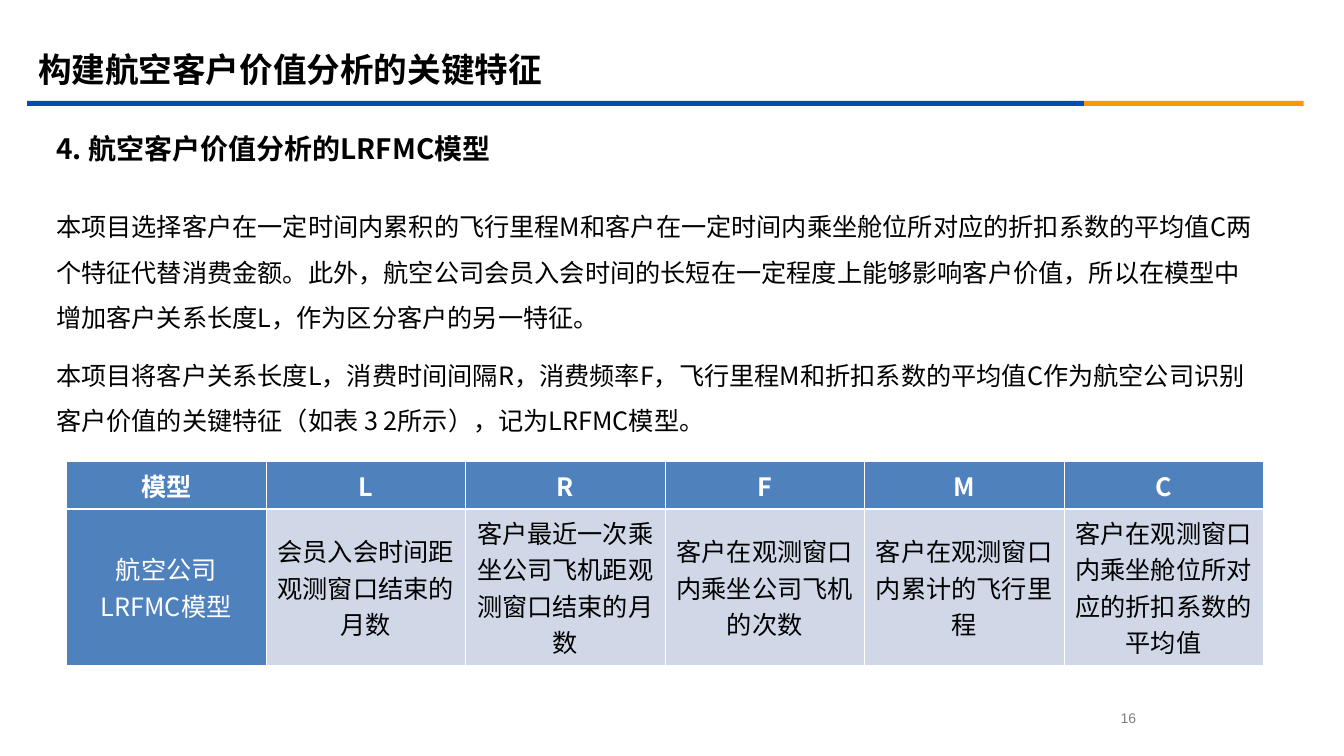
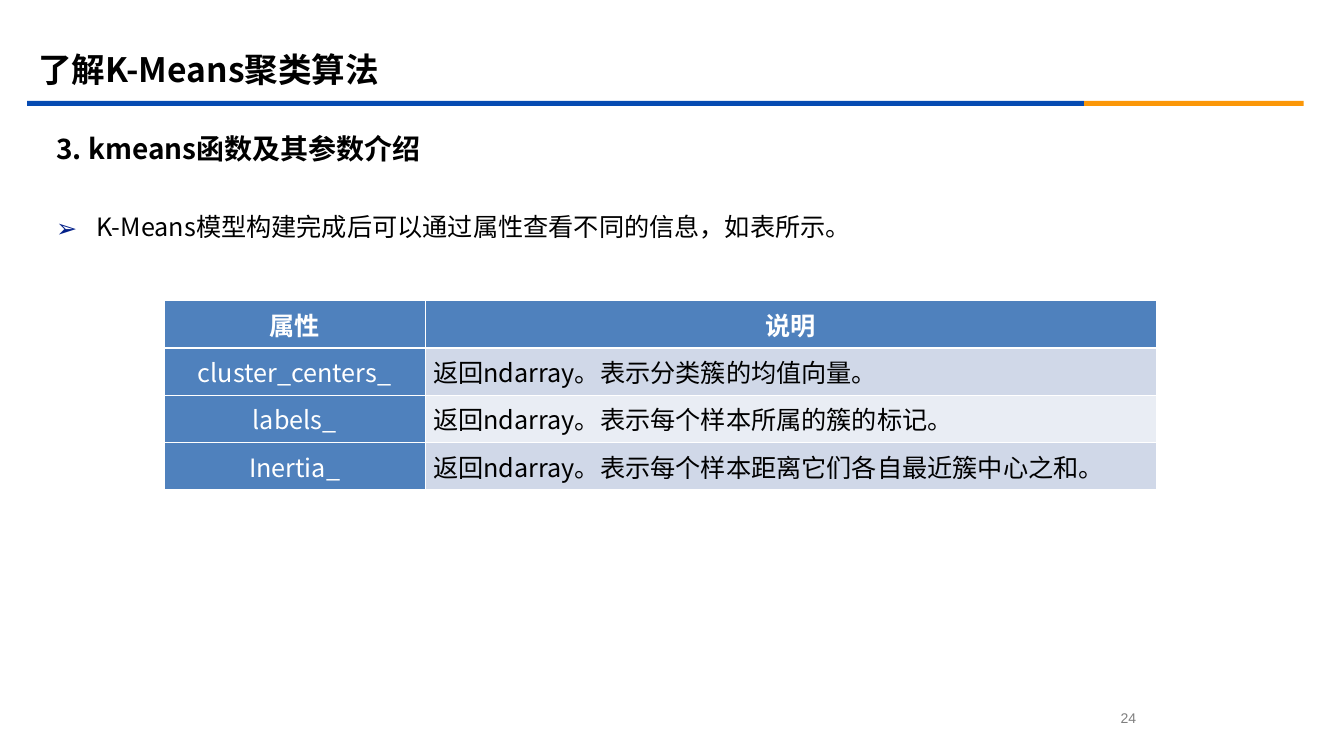
from lxml import etree
from pptx import Presentation
from pptx.dml.color import RGBColor
from pptx.enum.shapes import MSO_SHAPE
from pptx.enum.text import MSO_ANCHOR, PP_ALIGN
from pptx.oxml.ns import qn
from pptx.util import Inches, Pt

RECTANGLE = MSO_SHAPE.RECTANGLE
TOP, MIDDLE = MSO_ANCHOR.TOP, MSO_ANCHOR.MIDDLE
LEFT, CENTER, JUSTIFY = PP_ALIGN.LEFT, PP_ALIGN.CENTER, PP_ALIGN.JUSTIFY

FONT, NUMBER_FONT = "Noto Sans CJK SC", "Arial"
BLACK, WHITE, GRAY = "000000", "FFFFFF", "7F7F7F"
BLUE, ORANGE, BULLET_COLOR = "064BB2", "FB9708", "032089"
HEADER_FILL, BAND_FILLS = "4F81BD", ("D0D8E8", "E9EDF4")
THIN, THICK = 0.45, 1.47

TITLE_BOX = (0.28, 0.39, 12, 0.58)
HEADING_BOX = (0.46, 1.24, 12.15, 0.47)
BODY_BOX = (0.46, 1.9, 12.15, 4.78)
NUMBER_BOX = (10.89, 6.99, 0.62, 0.25)
RULE_BOX = (0.27, 1, 12.67, 0.05)
RULE_BLUE_WIDTH = 10.49


def rgb(color):
    return RGBColor.from_string(color)


def add_bullet(paragraph, character, indent):
    properties = paragraph._p.get_or_add_pPr()
    properties.set("marL", str(Inches(indent)))
    properties.set("indent", str(-Inches(indent)))
    bullet_color = etree.SubElement(properties, qn("a:buClr"))
    etree.SubElement(bullet_color, qn("a:srgbClr"), val=BULLET_COLOR)
    etree.SubElement(properties, qn("a:buFont"), typeface=FONT)
    etree.SubElement(properties, qn("a:buChar"), char=character)


def write_text(frame, lines, size=18, color=BLACK, bold=False, font=FONT,
               align=LEFT, line_spacing=None, space_before=0, bullet=None):
    """Write one paragraph for each line into a text frame."""
    frame.word_wrap = True
    for index, line in enumerate(lines):
        paragraph = frame.add_paragraph() if index else frame.paragraphs[0]
        paragraph.alignment = align
        if line_spacing:
            paragraph.line_spacing = line_spacing
        if index and space_before:
            paragraph.space_before = Pt(space_before)
        if bullet:
            add_bullet(paragraph, bullet, 0.4)
        run = paragraph.add_run()
        run.text = line
        run.font.size = Pt(size)
        run.font.bold = bold
        run.font.color.rgb = rgb(color)
        run.font.name = font
        etree.SubElement(run._r.get_or_add_rPr(), qn("a:ea"), typeface=font)


def add_text(slide, box, lines, anchor=TOP, **text_format):
    frame = slide.shapes.add_textbox(*map(Inches, box)).text_frame
    frame.vertical_anchor = anchor
    write_text(frame, lines, **text_format)


def add_band(slide, box, color):
    band = slide.shapes.add_shape(RECTANGLE, *map(Inches, box))
    band.shadow.inherit = False
    band.fill.solid()
    band.fill.fore_color.rgb = rgb(color)
    band.line.fill.background()


def add_title_rule(slide, box):
    left, top, width, height = box
    add_band(slide, (left, top, RULE_BLUE_WIDTH, height), BLUE)
    add_band(slide, (left + RULE_BLUE_WIDTH, top, width - RULE_BLUE_WIDTH, height), ORANGE)


def set_borders(cell, top, bottom):
    """Give a cell white borders; top and bottom are widths in points."""
    properties = cell._tc.get_or_add_tcPr()
    widths = {"a:lnL": THIN, "a:lnR": THIN, "a:lnT": top, "a:lnB": bottom}
    for position, (tag, width) in enumerate(widths.items()):
        line = etree.Element(qn(tag), w=str(Pt(width)))
        fill = etree.SubElement(line, qn("a:solidFill"))
        etree.SubElement(fill, qn("a:srgbClr"), val=WHITE)
        properties.insert(position, line)


def add_grid(slide, left, top, rows, column_widths, row_heights,
             header_margin, body_margin, body_align):
    """Add a table whose first row and first column are headers."""
    box = (left, top, sum(column_widths), sum(row_heights))
    table = slide.shapes.add_table(len(rows), len(column_widths), *map(Inches, box)).table
    for column, width in zip(table.columns, column_widths):
        column.width = Inches(width)
    for row_index, (texts, height) in enumerate(zip(rows, row_heights)):
        table.rows[row_index].height = Inches(height)
        for column_index, text in enumerate(texts):
            cell = table.cell(row_index, column_index)
            is_header = row_index == 0 or column_index == 0
            margin = body_margin if row_index else header_margin
            cell.margin_left = cell.margin_right = Inches(margin)
            cell.vertical_anchor = MIDDLE
            cell.fill.solid()
            cell.fill.fore_color.rgb = rgb(
                HEADER_FILL if is_header else BAND_FILLS[(row_index - 1) % 2])
            set_borders(cell, top=THICK if row_index == 1 else THIN,
                        bottom=THICK if row_index == 0 else THIN)
            write_text(cell.text_frame, text.split("\n"), bold=row_index == 0,
                       color=WHITE if is_header else BLACK,
                       align=CENTER if is_header else body_align)


def add_content_slide(presentation, title, heading, body, number, bullet=None):
    slide = presentation.slides.add_slide(presentation.slide_layouts[6])
    add_text(slide, NUMBER_BOX, [number], size=10, color=GRAY, font=NUMBER_FONT, align=CENTER)
    add_title_rule(slide, RULE_BOX)
    add_text(slide, BODY_BOX, body, line_spacing=1.5, space_before=9, bullet=bullet)
    add_text(slide, TITLE_BOX, [title], anchor=MIDDLE, size=24, bold=True)
    add_text(slide, HEADING_BOX, [heading], anchor=MIDDLE, size=20, bold=True)
    return slide


def add_model_slide(presentation):
    slide = add_content_slide(
        presentation, "构建航空客户价值分析的关键特征", "4. 航空客户价值分析的LRFMC模型",
        ["本项目选择客户在一定时间内累积的飞行里程M和客户在一定时间内乘坐舱位所对应的"
         "折扣系数的平均值C两个特征代替消费金额。此外，航空公司会员入会时间的长短在一定"
         "程度上能够影响客户价值，所以在模型中增加客户关系长度L，作为区分客户的另一特征。",
         "本项目将客户关系长度L，消费时间间隔R，消费频率F，飞行里程M和折扣系数的平均值C"
         "作为航空公司识别客户价值的关键特征（如表 3 2所示），记为LRFMC模型。"],
        "16")
    rows = [
        ["模型", "L", "R", "F", "M", "C"],
        ["航空公司\nLRFMC模型",
         "会员入会时间距观测窗口结束的月数",
         "客户最近一次乘坐公司飞机距观测窗口结束的月数",
         "客户在观测窗口内乘坐公司飞机的次数",
         "客户在观测窗口内累计的飞行里程",
         "客户在观测窗口内乘坐舱位所对应的折扣系数的平均值"],
    ]
    add_grid(slide, 0.66, 4.58, rows, [1.98] * 6, [0.47, 1.55],
             header_margin=0.06, body_margin=0.06, body_align=CENTER)


def add_attribute_slide(presentation):
    slide = add_content_slide(
        presentation, "了解K-Means聚类算法", "3. kmeans函数及其参数介绍",
        ["K-Means模型构建完成后可以通过属性查看不同的信息，如表所示。"], "24", bullet="➢")
    rows = [
        ["属性", "说明"],
        ["cluster_centers_", "返回ndarray。表示分类簇的均值向量。"],
        ["labels_", "返回ndarray。表示每个样本所属的簇的标记。"],
        ["Inertia_", "返回ndarray。表示每个样本距离它们各自最近簇中心之和。"],
    ]
    add_grid(slide, 1.63, 2.98, rows, [2.59, 7.26], [0.47] * 4,
             header_margin=0.04, body_margin=0.08, body_align=JUSTIFY)


def main():
    presentation = Presentation()
    presentation.slide_width = Inches(13.34)
    presentation.slide_height = Inches(7.5)
    add_model_slide(presentation)
    add_attribute_slide(presentation)
    presentation.save("out.pptx")


if __name__ == "__main__":
    main()
